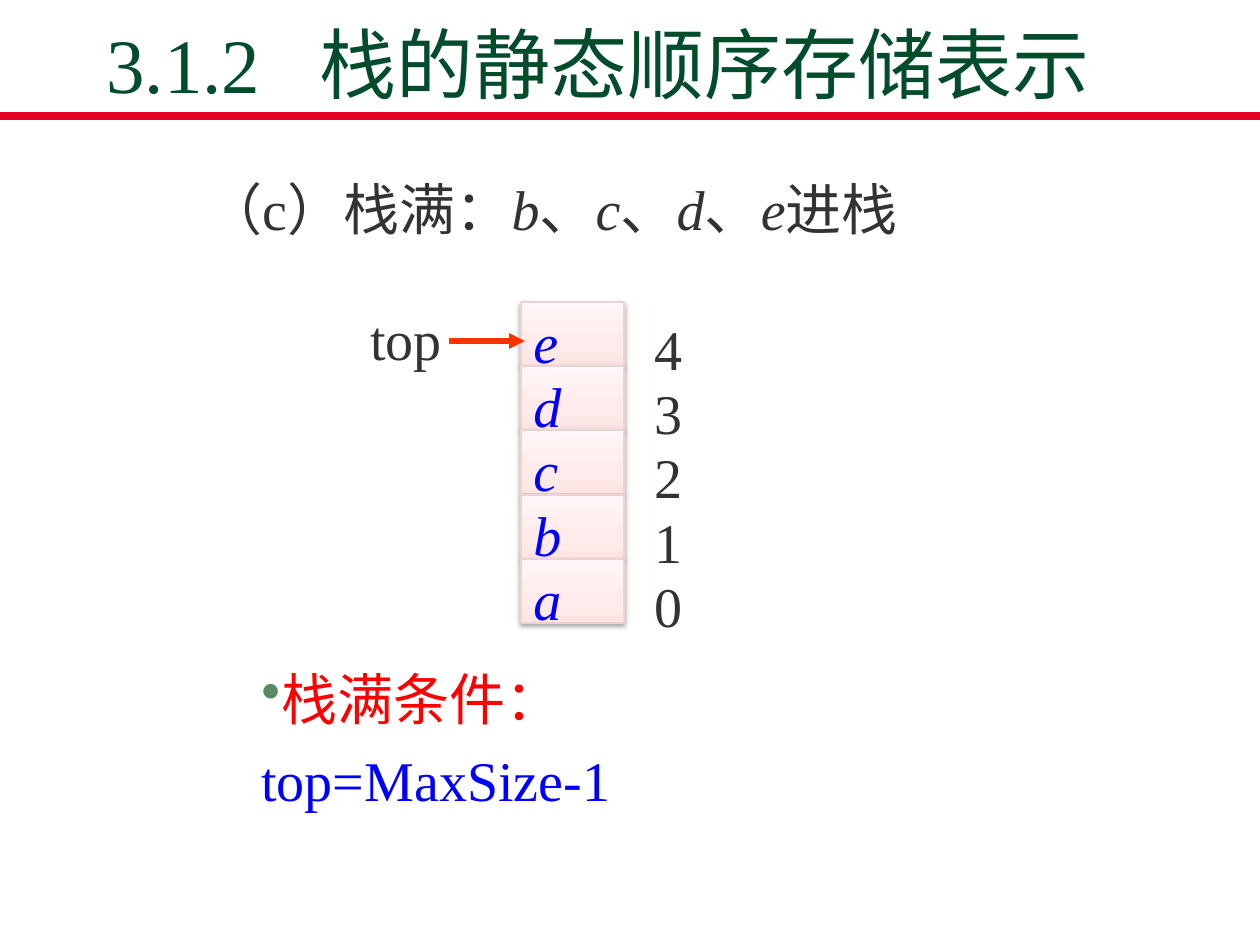
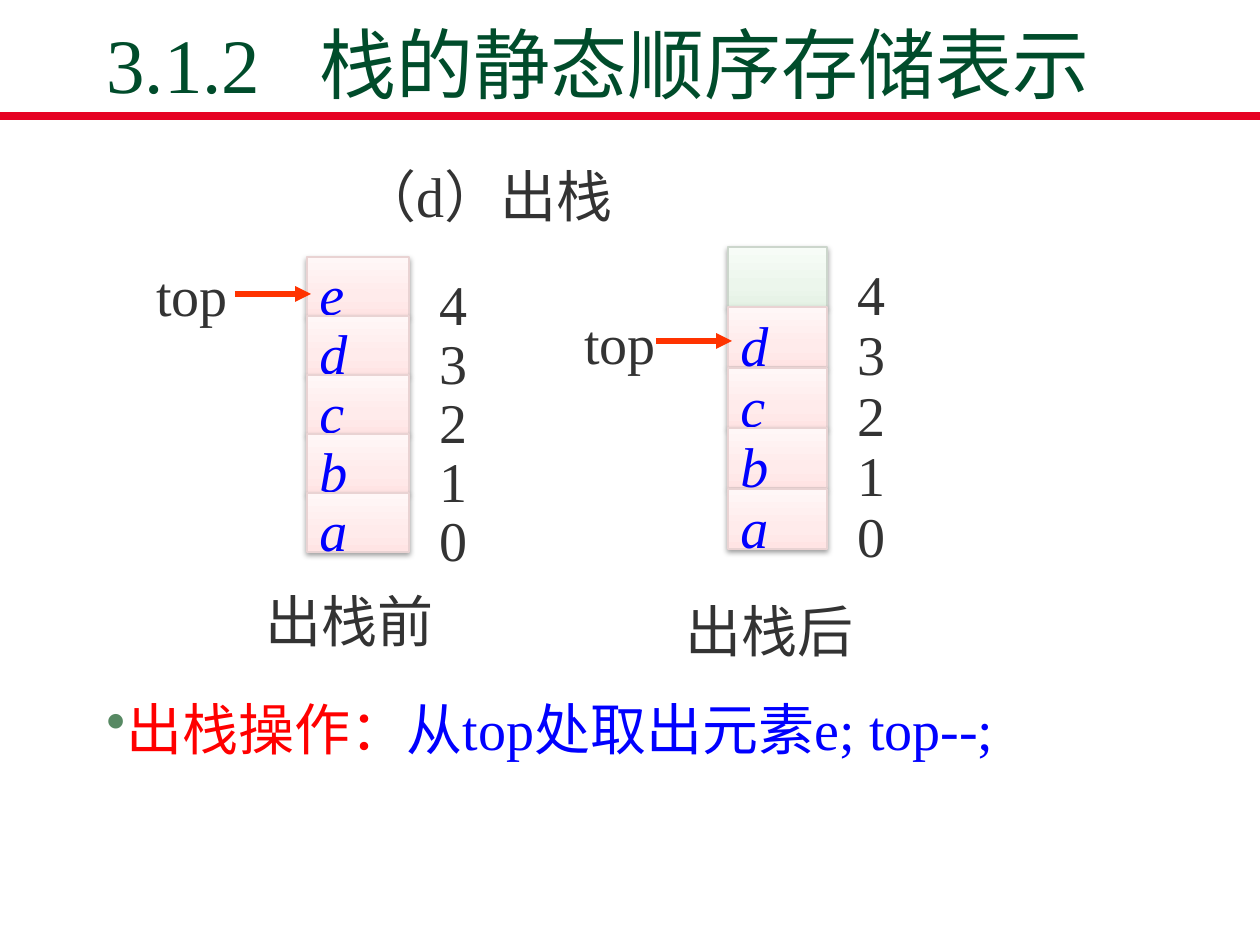
from dataclasses import dataclass

from pptx import Presentation
from pptx.dml.color import RGBColor
from pptx.enum.shapes import MSO_CONNECTOR as Connector, MSO_SHAPE as Shape
from pptx.enum.text import MSO_ANCHOR as Anchor, PP_ALIGN as Align
from pptx.oxml import parse_xml
from pptx.oxml.ns import nsdecls, qn
from pptx.util import Emu, Pt

PX = 914400 / 126


@dataclass(frozen=True)
class Theme:
    font: str = "Times New Roman"
    title_size: int = 44
    body_size: int = 32
    title: str = "004C2B"
    rule: str = "E60223"
    body: str = "333333"
    code: str = "0000FF"
    accent: str = "FF0000"
    bullet: str = "578963"
    pointer: str = "FF3300"
    filled: tuple = ("FFE4E4", "FFEBEB", "FFF7F7", "E9D3D3")
    vacant: tuple = ("E5F2E5", "ECF6EC", "F7FCF7", "CCD6CC")


@dataclass(frozen=True)
class Stack:
    left: int
    top: int
    width: int
    height: int
    items: str
    pointer_y: int
    label_left: int
    label_top: int


THEME = Theme()


def px(length):
    return Emu(round(length * PX))


def xml(tag, attributes="", inner=""):
    return parse_xml(f'<a:{tag} {nsdecls("a")} {attributes}>{inner}</a:{tag}>')


def color_xml(color, inner=""):
    return f'<a:srgbClr val="{color}">{inner}</a:srgbClr>'


def write(frame, text, *, color=THEME.body, size=THEME.body_size, italic=False,
          spacing=1.2, anchor=Anchor.TOP, bullet=False, tab=None):
    runs = [(text, color, italic)] if isinstance(text, str) else text
    frame.word_wrap = True
    frame.vertical_anchor = anchor
    paragraph = frame.paragraphs[0]
    properties = paragraph._p.get_or_add_pPr()
    if bullet:
        properties.append(xml("buClr", inner=color_xml(THEME.bullet)))
        properties.append(xml("buChar", 'char="•"'))
    if tab:
        properties.append(xml("tabLst", inner=f'<a:tab pos="{px(tab)}" algn="l"/>'))
    paragraph.alignment = Align.LEFT
    paragraph.line_spacing = spacing
    for words, run_color, slanted in runs:
        if words == "\n":
            paragraph.add_line_break()
            continue
        run = paragraph.add_run()
        run.text = words
        run.font.name = THEME.font
        run.font.size = Pt(size)
        run.font.italic = slanted
        run.font.color.rgb = RGBColor.from_string(run_color)


def add_text(slide, left, top, width, text, height=94, **style):
    box = slide.shapes.add_textbox(px(left), px(top), px(width), px(height))
    write(box.text_frame, text, **style)


def add_line(slide, start, end, y, color, weight, arrow=False):
    line = slide.shapes.add_connector(Connector.STRAIGHT, px(start), px(y), px(end), px(y))
    line.line.color.rgb = RGBColor.from_string(color)
    line.line.width = Pt(weight)
    if arrow:
        line.line._get_or_add_ln().append(xml("tailEnd", 'type="triangle"'))
    line._element.spPr.append(xml("effectLst"))


def add_cell(slide, left, top, width, height, item):
    *stops, border = THEME.filled if item.strip() else THEME.vacant
    cell = slide.shapes.add_shape(Shape.RECTANGLE, px(left), px(top), px(width), px(height))
    cell.line.color.rgb = RGBColor.from_string(border)
    cell.line.width = Pt(0.75)
    cell.shadow.inherit = False
    properties = cell._element.spPr
    gradient = "".join(f'<a:gs pos="{position}">{color_xml(color)}</a:gs>'
                       for position, color in zip((0, 35000, 100000), stops))
    properties.insert(2, xml("gradFill", 'rotWithShape="1"',
                             f'<a:gsLst>{gradient}</a:gsLst><a:lin ang="16200000"/>'))
    properties.find(qn("a:effectLst")).append(
        xml("outerShdw", 'blurRad="40000" dist="20000" dir="5400000" rotWithShape="0"',
            color_xml("000000", '<a:alpha val="38000"/>')))
    if item.strip():
        write(cell.text_frame, item, color=THEME.code, italic=True, anchor=Anchor.MIDDLE)


def add_stack(slide, stack):
    count = len(stack.items)
    pitch = stack.height / count
    for row, item in enumerate(stack.items):
        top = round(stack.top + row * pitch)
        add_cell(slide, stack.left, top, stack.width, round(pitch), item)
        add_text(slide, stack.left + stack.width + 18, top - 7, 76, str(count - 1 - row))
    add_line(slide, stack.left - 72, stack.left + 4, stack.pointer_y, THEME.pointer, 3, arrow=True)
    add_text(slide, stack.label_left, stack.label_top, 120, "top")


def add_section_slide(deck):
    slide = deck.slides.add_slide(deck.slide_layouts[6])
    add_line(slide, 0, 1260, 116, THEME.rule, 4.5)
    add_text(slide, 94, 33, 1071, "3.1.2\t栈的静态顺序存储表示", height=82, color=THEME.title,
             size=THEME.title_size, spacing=1.0, anchor=Anchor.BOTTOM, tab=213)
    return slide


def add_full_stack_slide(deck):
    slide = add_section_slide(deck)
    add_stack(slide, Stack(521, 302, 103, 321, "edcba", 341, 358, 285))
    heading = [("（c）栈满：", THEME.body, False)]
    for item, joiner in zip("bcde", ("、", "、", "、", "进栈")):
        heading += [(item, THEME.body, True), (joiner, THEME.body, False)]
    add_text(slide, 194, 155, 788, heading)
    add_text(slide, 249, 645, 679, [("栈满条件：", THEME.accent, False), ("\n", "", False),
                                    ("top=MaxSize-1", THEME.code, False)], bullet=True)


def add_pop_slide(deck):
    slide = add_section_slide(deck)
    add_stack(slide, Stack(728, 247, 99, 302, " dcba", 341, 572, 289))
    add_stack(slide, Stack(307, 257, 102, 295, "edcba", 294, 144, 241))
    add_text(slide, 348, 142, 488, "（d）出栈")
    add_text(slide, 253, 567, 237, "出栈前")
    add_text(slide, 673, 577, 237, "出栈后")
    add_text(slide, 94, 675, 1021, [("出栈操作：", THEME.accent, False),
                                    ("从top处取出元素e; top--;", THEME.code, False)], bullet=True)


def main():
    deck = Presentation()
    deck.slide_width, deck.slide_height = px(1260), px(945)
    add_full_stack_slide(deck)
    add_pop_slide(deck)
    deck.save("out.pptx")


if __name__ == "__main__":
    main()
